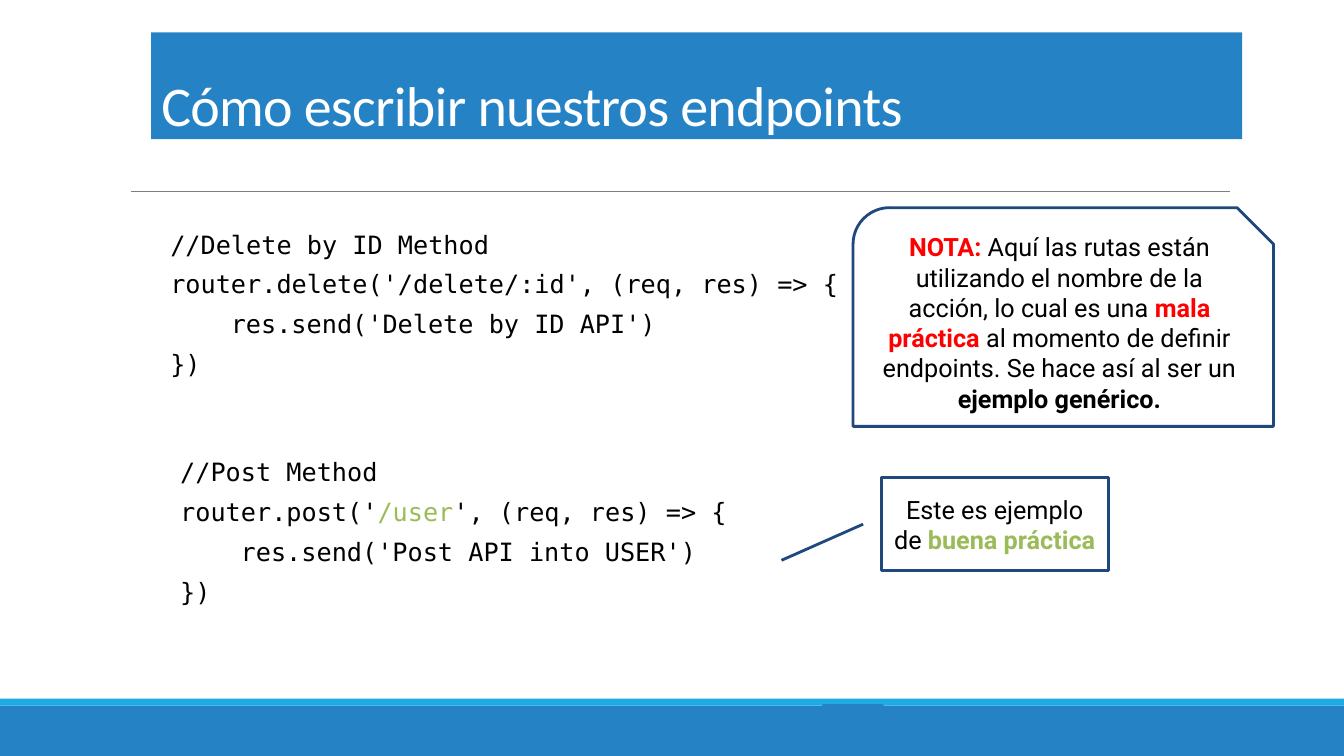
from pptx import Presentation
from pptx import util as u
from pptx.dml.color import RGBColor
from pptx.enum import shapes, text
from pptx.oxml import xmlchemy as xml

BLUE = RGBColor(0x25, 0x83, 0xC5)
CYAN = RGBColor(0x1C, 0xAC, 0xE3)
NAVY = RGBColor(0x1F, 0x49, 0x7D)
GRAY = RGBColor(0x7E, 0x7E, 0x7E)
RED = RGBColor(0xFF, 0x00, 0x00)
GREEN = RGBColor(0x9B, 0xBB, 0x59)
BLACK = RGBColor(0x00, 0x00, 0x00)
WHITE = RGBColor(0xFF, 0xFF, 0xFF)

BOX = shapes.MSO_SHAPE
ALIGN = text.PP_ALIGN
MONO, SANS, HEAD = "DejaVu Sans Mono", "Roboto", "Calibri"


def write(par, words, font=SANS, size=18, color=BLACK, bold=False, track=None):
    """Add one formatted run to a paragraph."""
    run = par.add_run()
    run.text = words
    run.font.name, run.font.size = font, u.Pt(size)
    run.font.color.rgb, run.font.bold = color, bold
    if track is not None:
        run.font._element.set("spc", str(int(track * 100)))


def indent(par, left):
    props = par._p.get_or_add_pPr()
    props.set("marL", str(u.Inches(left)))
    props.set("indent", "0")


def inset(frame, left, top, right, bottom):
    frame.margin_left, frame.margin_top = u.Inches(left), u.Inches(top)
    frame.margin_right, frame.margin_bottom = u.Inches(right), u.Inches(bottom)


class Deck:
    """Holds the slide; places are given in percent of its width and height."""

    def __init__(self):
        self.prs = Presentation()
        self.prs.slide_width, self.prs.slide_height = u.Inches(13.33), u.Inches(7.5)
        self.page = self.prs.slides.add_slide(self.prs.slide_layouts[5])

    def area(self, *share):
        wide, high = self.prs.slide_width, self.prs.slide_height
        return [int(part * full / 100)
                for part, full in zip(share, (wide, high, wide, high))]

    def title(self, place, words):
        head = self.page.shapes.title
        head.left, head.top, head.width, head.height = self.area(*place)
        head.fill.solid()
        head.fill.fore_color.rgb = BLUE
        frame = head.text_frame
        frame.auto_size = text.MSO_AUTO_SIZE.NONE
        frame.vertical_anchor = text.MSO_ANCHOR.TOP
        inset(frame, 0, 0.38, 0, 0)
        par = frame.paragraphs[0]
        par.alignment = ALIGN.LEFT
        indent(par, 0.1)
        write(par, words, font=HEAD, size=40, color=WHITE, track=-0.5)

    def shape(self, kind, place, fill=None, line=None):
        item = self.page.shapes.add_shape(kind, *self.area(*place))
        item.shadow.inherit = False
        if fill is None:
            item.fill.background()
        else:
            item.fill.solid()
            item.fill.fore_color.rgb = fill
        if line is None:
            item.line.fill.background()
        else:
            item.line.color.rgb, item.line.width = line, u.Pt(2)
        return item

    def rule(self, start, end):
        item = self.page.shapes.add_connector(
            shapes.MSO_CONNECTOR.STRAIGHT, *self.area(*start, *end))
        item.line.color.rgb, item.line.width = GRAY, u.Pt(0.5)
        props = item._element.spPr
        props.append(xml.OxmlElement("a:effectLst"))

    def note(self, kind, place, parts):
        item = self.shape(kind, place, line=NAVY)
        frame = item.text_frame
        frame.word_wrap = True
        frame.vertical_anchor = text.MSO_ANCHOR.MIDDLE
        par = frame.paragraphs[0]
        par.alignment = ALIGN.CENTER
        for words, style in parts:
            write(par, words, **style)
        return item

    def code(self, place, lines, pad=(0.1, 0.05, 0.1, 0.05)):
        """Each line is a depth followed by (words, color) parts."""
        frame = self.page.shapes.add_textbox(*self.area(*place)).text_frame
        frame.word_wrap = True
        inset(frame, *pad)
        for row, (depth, *parts) in enumerate(lines):
            par = frame.add_paragraph() if row else frame.paragraphs[0]
            par.alignment = ALIGN.JUSTIFY
            par.line_spacing, par.space_before = u.Pt(27.4), u.Pt(1)
            indent(par, 0.01 + 0.6 * depth)
            for words, color in parts:
                write(par, words, font=MONO, color=color)


def main():
    deck = Deck()

    # Footer bands, rule and title
    deck.shape(BOX.RECTANGLE, (0, 93.33, 100, 6.67), fill=BLUE)
    deck.shape(BOX.RECTANGLE, (0, 92.4, 100, 0.93), fill=CYAN)
    deck.rule((9.75, 25.33), (91.52, 25.33))
    deck.title((11.25, 4.27, 81.17, 14.13), "Cómo escribir nuestros endpoints")

    # Delete example
    deck.code((12.6, 29.07, 78.84, 25.73), [
        (0, ("//Delete by ID Method", BLACK)),
        (0, ("router.delete('/delete/:id', (req, res) => {", BLACK)),
        (1, ("res.send('Delete by ID API')", BLACK)),
        (0, ("})", BLACK)),
    ], pad=(0, 0.01, 0, 0))

    # Footer tab
    deck.shape(BOX.RECTANGLE, (61.29, 93.33, 4.35, 6.4), fill=BLUE, line=BLUE)

    # Warning about the route names
    alert = dict(color=RED, bold=True)
    deck.note(BOX.SNIP_ROUND_RECTANGLE, (63.47, 27.47, 31.28, 28.93), [
        ("NOTA: ", alert),
        ("Aquí las rutas están utilizando el nombre de la acción, "
         "lo cual es una ", {}),
        ("mala práctica ", alert),
        ("al momento de definir endpoints. Se hace así al ser un ", {}),
        ("ejemplo genérico.", dict(bold=True)),
    ])

    # Post example and its callout
    deck.code((12.6, 58.67, 49.96, 21.73), [
        (0, ("//Post Method", BLACK)),
        (0, ("router.post('", BLACK), ("/user", GREEN),
         ("', (req, res) => {", BLACK)),
        (1, ("res.send('Post API into USER')", BLACK)),
        (0, ("})", BLACK)),
    ])
    call = deck.note(BOX.LINE_CALLOUT_1, (65.57, 63.2, 16.88, 12.27), [
        ("Este es ejemplo de ", {}),
        ("buena práctica", dict(color=GREEN, bold=True)),
    ])
    for spot, value in enumerate((0.5, -0.08, 0.89, -0.44)):
        call.adjustments[spot] = value

    deck.prs.save("out.pptx")


if __name__ == "__main__":
    main()
